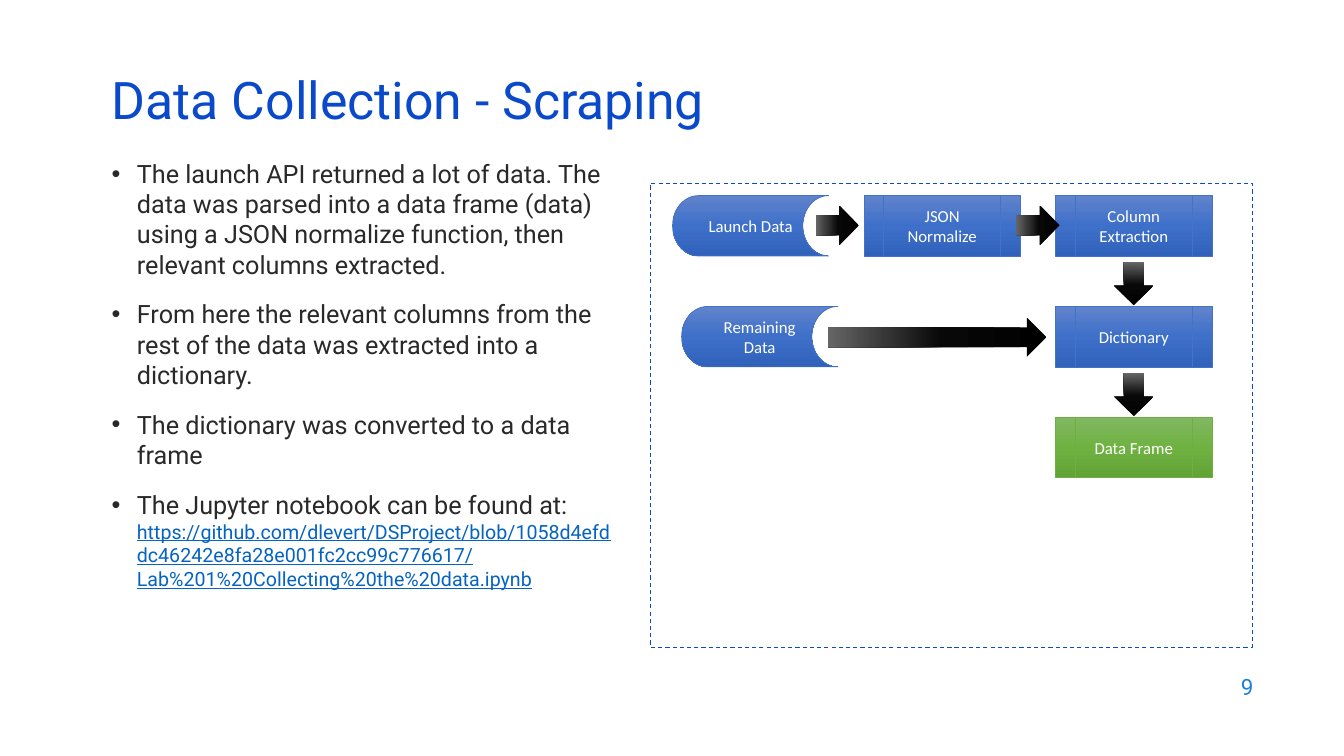
import pptx
import pptx.dml.color
import pptx.enum.dml
import pptx.enum.shapes
import pptx.enum.text
import pptx.oxml
import pptx.oxml.ns
import pptx.util

RGBColor = pptx.dml.color.RGBColor
Kind = pptx.enum.shapes.MSO_SHAPE
Align = pptx.enum.text.PP_ALIGN
Anchor = pptx.enum.text.MSO_ANCHOR

ROYAL_BLUE = RGBColor(0x0B, 0x49, 0xCB)
NUMBER_BLUE = RGBColor(0x1C, 0x7D, 0xDB)
LINK_BLUE = RGBColor(0x05, 0x63, 0xC1)
CHARCOAL = RGBColor(0x29, 0x29, 0x29)
WHITE = RGBColor(0xFF, 0xFF, 0xFF)
BLUE_EDGE = RGBColor(0x44, 0x72, 0xC4)
GREEN_EDGE = RGBColor(0x70, 0xAD, 0x47)

BLUE_FADE = ((0, "6183CB"), (50, "3E70CA"), (100, "3062BB"))
GREEN_FADE = ((0, "81B861"), (50, "6FB242"), (100, "62A336"))
BLACK_FADE = ((0, "000000"), (48, "080808"), (100, "666666"))

BULLETS = (
    "The launch API returned a lot of data. The data was parsed into a data frame (data) "
    "using a JSON normalize function, then relevant columns extracted.",
    "From here the relevant columns from the rest of the data was extracted into a dictionary.",
    "The dictionary was converted to a data frame",
    "The Jupyter notebook can be found at: ",
)
NOTEBOOK = (
    "https://github.com/dlevert/DSProject/blob/"
    "1058d4efddc46242e8fa28e001fc2cc99c776617/Lab%201%20Collecting%20the%20data.ipynb"
)

STEP_WIDTH, STEP_HEIGHT = 155, 60
COLUMNS = [667 + 190 * index for index in range(3)]
ROWS = [194 + 110 * index for index in range(3)]
ARROW_WIDTH, ARROW_LENGTH = 39, 43


def px(length):
    return pptx.util.Emu(length * 9144)


def apply(target, formats):
    for name, value in formats.items():
        setattr(target, name, value)


class SlideBuilder:
    heading = {"name": "Roboto", "size": pptx.util.Pt(37)}
    body = {"name": "Roboto", "size": pptx.util.Pt(18)}
    link = {"name": "Roboto", "size": pptx.util.Pt(14), "underline": True}
    number = {"name": "Roboto", "size": pptx.util.Pt(16)}
    label = {"name": "Calibri", "size": pptx.util.Pt(12)}
    middle = {"word_wrap": True, "vertical_anchor": Anchor.MIDDLE}

    def __init__(self, presentation):
        self.slide = presentation.slides.add_slide(presentation.slide_layouts[5])

    def add_text(self, paragraph, text, font, color):
        run = paragraph.add_run()
        run.text = text
        apply(run.font, font)
        run.font.color.rgb = color

    def title(self, text, left, top, width, height):
        shape = self.slide.shapes.title
        apply(shape, {"left": px(left), "top": px(top), "width": px(width), "height": px(height)})
        apply(shape.text_frame, {**self.middle, "auto_size": pptx.enum.text.MSO_AUTO_SIZE.NONE})
        paragraph = shape.text_frame.paragraphs[0]
        apply(paragraph, {"alignment": Align.LEFT, "line_spacing": 0.7})
        self.add_text(paragraph, text, self.heading, ROYAL_BLUE)

    def text_box(self, left, top, width, height):
        frame = self.slide.shapes.add_textbox(px(left), px(top), px(width), px(height)).text_frame
        frame.word_wrap = True
        return frame

    def page_number(self, text, left, top, width, height):
        frame = self.text_box(left, top, width, height)
        apply(frame, self.middle)
        frame.paragraphs[0].alignment = Align.RIGHT
        self.add_text(frame.paragraphs[0], text, self.number, NUMBER_BLUE)

    def bullets(self, texts, address, left, top, width, height):
        frame = self.text_box(left, top, width, height)
        for index, text in enumerate(texts):
            paragraph = frame.add_paragraph() if index else frame.paragraphs[0]
            properties = paragraph._p.get_or_add_pPr()
            properties.set("marL", str(px(25)))
            properties.set("indent", str(px(-25)))
            namespace = pptx.oxml.ns.nsdecls("a")
            properties.append(pptx.oxml.parse_xml(f'<a:buFont {namespace} typeface="Arial"/>'))
            properties.append(pptx.oxml.parse_xml(f'<a:buChar {namespace} char="•"/>'))
            paragraph.space_before = pptx.util.Pt(14 if index else 0)
            self.add_text(paragraph, text, self.body, CHARCOAL)
        self.add_text(paragraph, address, self.link, LINK_BLUE)

    def shape(self, kind, left, top, width, height):
        shape = self.slide.shapes.add_shape(kind, px(left), px(top), px(width), px(height))
        shape.shadow.inherit = False
        shape.fill.background()
        return shape

    def outline(self, shape, color, points):
        shape.line.color.rgb = color
        shape.line.width = pptx.util.Pt(points)

    def fade(self, shape, stops, angle):
        stop_list = "".join(
            f'<a:gs pos="{place * 1000}"><a:srgbClr val="{color}"/></a:gs>' for place, color in stops
        )
        gradient = pptx.oxml.parse_xml(
            f'<a:gradFill {pptx.oxml.ns.nsdecls("a")} rotWithShape="1"><a:gsLst>{stop_list}</a:gsLst>'
            f'<a:lin ang="{angle * 60000}" scaled="0"/></a:gradFill>'
        )
        properties = shape._element.spPr
        properties.replace(properties.find(pptx.oxml.ns.qn("a:noFill")), gradient)

    def panel(self, left, top, width, height):
        shape = self.shape(Kind.RECTANGLE, left, top, width, height)
        self.outline(shape, ROYAL_BLUE, 0.75)
        shape.line.dash_style = pptx.enum.dml.MSO_LINE.DASH

    def step(self, text, kind, left, top, stops=BLUE_FADE, edge=BLUE_EDGE):
        shape = self.shape(kind, left, top, STEP_WIDTH, STEP_HEIGHT)
        self.fade(shape, stops, 90)
        self.outline(shape, edge, 0.5)
        apply(shape.text_frame, self.middle)
        paragraph = shape.text_frame.paragraphs[0]
        paragraph.alignment = Align.CENTER
        self.add_text(paragraph, text, self.label, WHITE)

    def arrow(self, left, top, length=ARROW_LENGTH, rotation=0):
        shape = self.shape(Kind.DOWN_ARROW, left, top, ARROW_WIDTH, length)
        shape.rotation = rotation
        self.fade(shape, BLACK_FADE, 270)
        shape.line.fill.background()


def main():
    presentation = pptx.Presentation()
    apply(presentation, {"slide_width": px(1333), "slide_height": px(750)})
    builder = SlideBuilder(presentation)
    builder.page_number("9", 953, 659, 300, 44)
    builder.bullets(BULLETS, NOTEBOOK, 101, 152, 520, 461)
    builder.title("Data Collection - Scraping", 101, 76, 1150, 60)
    builder.panel(645, 182, 597, 460)

    source, process = Kind.FLOWCHART_STORED_DATA, Kind.FLOWCHART_PREDEFINED_PROCESS
    builder.step("Launch Data", source, COLUMNS[0], ROWS[0])
    builder.step("JSON Normalize", process, COLUMNS[1], ROWS[0])
    builder.step("Column Extraction", process, COLUMNS[2], ROWS[0])
    builder.step("Dictionary", process, COLUMNS[2], ROWS[1])
    builder.step("Remaining Data", source, COLUMNS[0] + 9, ROWS[1])
    builder.step("Data Frame", process, COLUMNS[2], ROWS[2], GREEN_FADE, GREEN_EDGE)

    for row in ROWS[:2]:
        builder.arrow(COLUMNS[2] + (STEP_WIDTH - ARROW_WIDTH) // 2, row + STEP_HEIGHT + 6)
    for left in (811, 1010):
        builder.arrow(left, ROWS[0] + 8, rotation=270)
    builder.arrow(910, 226, length=217, rotation=270)

    presentation.save("out.pptx")


if __name__ == "__main__":
    main()
